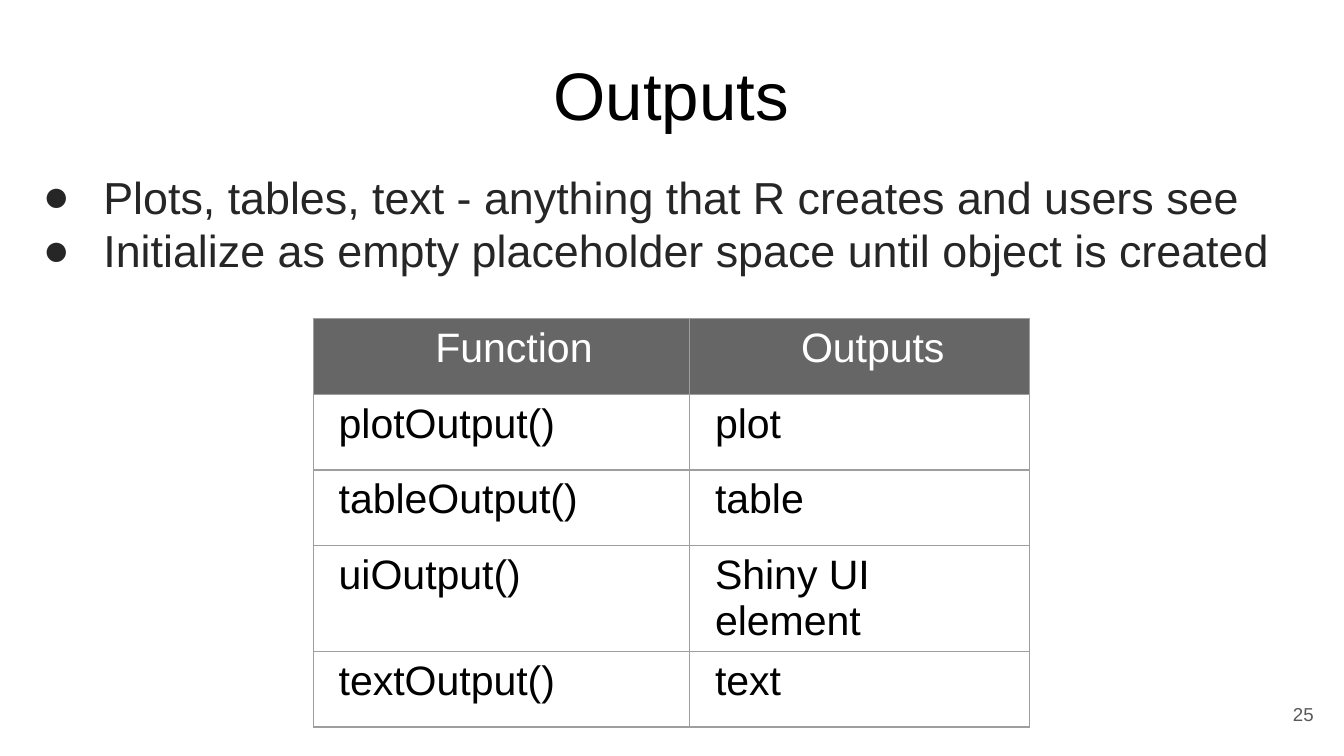
"""Build the slide on output functions with its bullets and table."""
import dataclasses
import typing

import pptx
import pptx.dml.color
import pptx.enum.text
import pptx.oxml
import pptx.oxml.ns
import pptx.slide
import pptx.table
import pptx.text.text
import pptx.util

Inches = pptx.util.Inches
FONT = "Arial"
COLORS = {
    "black": "000000",
    "white": "FFFFFF",
    "body": "262626",
    "number": "595959",
    "header": "666666",
    "border": "9E9E9E",
}


@dataclasses.dataclass(frozen=True)
class Box:
    left: float
    top: float
    width: float
    height: float

    def lengths(self) -> list[int]:
        return [Inches(side) for side in dataclasses.astuple(self)]


@dataclasses.dataclass(frozen=True)
class OutputRow:
    function: str
    output: str


TITLE_BOX = Box(4.11, 0.38, 1.78, 0.95)
BULLETS_BOX = Box(0.31, 1.17, 9.14, 0.93)
TABLE_BOX = Box(2.33, 2.37, 5.33, 2.82)
NUMBER_BOX = Box(9.59, 5.23, 0.21, 0.2)
COLUMN_WIDTHS = (2.8, 2.53)
HEADER_INDENTS = (0.81, 0.73)
CELL_INDENT = 0.09

BULLETS = (
    "Plots, tables, text - anything that R creates and users see",
    "Initialize as empty placeholder space until object is created",
)
HEADER = OutputRow("Function", "Outputs")
OUTPUT_ROWS = (
    OutputRow("plotOutput()", "plot"),
    OutputRow("tableOutput()", "table"),
    OutputRow("uiOutput()", "Shiny UI element"),
    OutputRow("textOutput()", "text"),
)


def rgb(name: str) -> pptx.dml.color.RGBColor:
    return pptx.dml.color.RGBColor.from_string(COLORS[name])


def element(xml: str) -> typing.Any:
    namespace = pptx.oxml.ns.nsdecls("a")
    return pptx.oxml.parse_xml(xml.replace(" NS", f" {namespace}", 1))


def write(frame: pptx.text.text.TextFrame, *lines: str, size: float, color: str,
          indent: float = 0, hanging: float = 0, bullet: str = "") -> None:
    for index, line in enumerate(lines):
        paragraph = frame.add_paragraph() if index else frame.paragraphs[0]
        paragraph.alignment = pptx.enum.text.PP_ALIGN.LEFT
        paragraph.space_before = pptx.util.Pt(0)
        run = paragraph.add_run()
        run.text = line
        run.font.name = FONT
        run.font.size = pptx.util.Pt(size)
        run.font.color.rgb = rgb(color)
        properties = paragraph._p.get_or_add_pPr()
        properties.set("marL", str(Inches(indent)))
        properties.set("indent", str(Inches(-hanging)))
        if bullet:
            properties.append(element(
                f'<a:buClr NS><a:srgbClr val="{COLORS[color]}"/></a:buClr>'))
            properties.append(element(f'<a:buFont NS typeface="{FONT}"/>'))
            properties.append(element(f'<a:buChar NS char="{bullet}"/>'))


def place(shape: typing.Any, box: Box, inset_top: float = 0) -> pptx.text.text.TextFrame:
    shape.left, shape.top, shape.width, shape.height = box.lengths()
    frame = shape.text_frame
    frame.word_wrap = True
    frame.auto_size = pptx.enum.text.MSO_AUTO_SIZE.NONE
    frame.vertical_anchor = pptx.enum.text.MSO_ANCHOR.TOP
    frame.margin_left = frame.margin_right = frame.margin_bottom = 0
    frame.margin_top = Inches(inset_top)
    return frame


def add_text_box(slide: pptx.slide.Slide, box: Box,
                 inset_top: float = 0) -> pptx.text.text.TextFrame:
    return place(slide.shapes.add_textbox(*box.lengths()), box, inset_top)


def outline(cell: pptx.table._Cell) -> None:
    properties = cell._tc.get_or_add_tcPr()
    for position, side in enumerate("LRTB"):
        properties.insert(position, element(
            f'<a:ln{side} NS w="{pptx.util.Pt(0.75)}"><a:solidFill>'
            f'<a:srgbClr val="{COLORS["border"]}"/></a:solidFill></a:ln{side}>'))


def add_output_table(slide: pptx.slide.Slide) -> None:
    rows = (HEADER, *OUTPUT_ROWS)
    table = slide.shapes.add_table(
        len(rows), len(COLUMN_WIDTHS), *TABLE_BOX.lengths()).table
    table.first_row = table.horz_banding = False
    for column, width in zip(table.columns, COLUMN_WIDTHS):
        column.width = Inches(width)
    for row_index, row in enumerate(rows):
        is_header = row is HEADER
        for column_index, text in enumerate(dataclasses.astuple(row)):
            cell = table.cell(row_index, column_index)
            cell.margin_top = cell.margin_bottom = Inches(0.05)
            if is_header:
                cell.fill.solid()
                cell.fill.fore_color.rgb = rgb("header")
            else:
                cell.fill.background()
            outline(cell)
            write(cell.text_frame, text, size=22,
                  color="white" if is_header else "black",
                  indent=HEADER_INDENTS[column_index] if is_header else CELL_INDENT)


def main() -> None:
    presentation = pptx.Presentation()
    presentation.slide_width = Inches(10)
    presentation.slide_height = Inches(10) * 9 // 16
    slide = presentation.slides.add_slide(presentation.slide_layouts[5])
    slide.background.fill.solid()
    slide.background.fill.fore_color.rgb = rgb("white")

    write(add_text_box(slide, NUMBER_BOX), "25", size=10, color="number", indent=0.03)
    write(place(slide.shapes.title, TITLE_BOX, 0.02), "Outputs",
          size=36, color="black", indent=0.01)
    write(add_text_box(slide, BULLETS_BOX, 0.09), *BULLETS, size=24, color="body",
          indent=0.46, hanging=0.45, bullet="●")
    add_output_table(slide)
    presentation.save("out.pptx")


if __name__ == "__main__":
    main()
